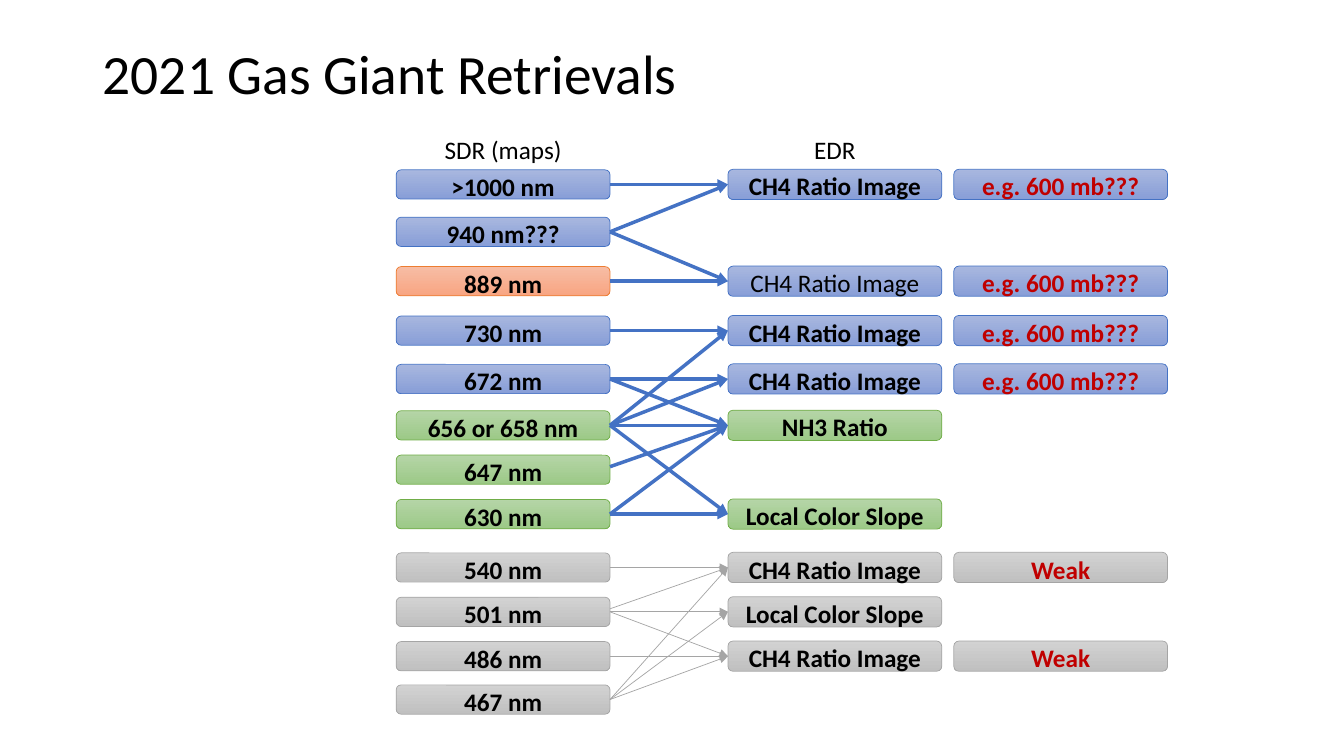
from dataclasses import dataclass
from lxml.etree import SubElement
from pptx import Presentation
from pptx.dml.color import RGBColor
from pptx.enum.shapes import MSO_CONNECTOR as LINE, MSO_SHAPE as SHAPE
from pptx.enum.text import MSO_ANCHOR as ANCHOR, PP_ALIGN as ALIGN
from pptx.oxml.ns import qn
from pptx.util import Inches, Pt

TITLE = "2021 Gas Giant Retrievals"
RATIO, SLOPE, GUESS, WEAK = "CH4 Ratio Image", "Local Color Slope", "e.g. 600 mb???", "Weak"

# Row centre, SDR map, its tone, EDR product, remark, tone of product and remark
BANDS = [
    (1.83, ">1000 nm", "blue", RATIO, GUESS, "blue"),
    (2.30, "940 nm???", "blue", None, None, None),
    (2.79, "889 nm", "orange", RATIO, GUESS, "blue"),
    (3.28, "730 nm", "blue", RATIO, GUESS, "blue"),
    (3.76, "672 nm", "blue", RATIO, GUESS, "blue"),
    (4.22, "656 or 658 nm", "green", "NH3 Ratio", None, "green"),
    (4.66, "647 nm", "green", None, None, None),
    (5.10, "630 nm", "green", SLOPE, None, "green"),
    (5.63, "540 nm", "gray", RATIO, WEAK, "gray"),
    (6.07, "501 nm", "gray", SLOPE, None, "gray"),
    (6.51, "486 nm", "gray", RATIO, WEAK, "gray"),
    (6.94, "467 nm", "gray", None, None, None),
]
# Map row -> product rows that it feeds
LINKS = {0: [0], 1: [0, 2], 2: [2], 3: [3], 4: [4, 5], 5: [3, 4, 5, 7], 6: [5],
         7: [5, 7], 8: [8], 9: [8, 9, 10], 10: [10], 11: [8, 9, 10]}
RISES = {(6, 5): 0.03, (9, 8): 0.03}  # arrows that leave above the row centre
PLAIN_ROWS = {2}  # products not in bold


@dataclass(frozen=True)
class Theme:
    """Colours, type sizes and line widths."""
    font: str = "Calibri"
    ink: str = "000000"
    remark: str = "C00000"
    title: float = 39.6
    body: float = 18
    edge: float = 0.5
    strong: float = 2.5


T = Theme()
TONES = {  # gradient top, gradient bottom, outline
    "blue": ("A8B7DF", "889ED7", "4472C4"),
    "orange": ("F7BDA5", "F8A582", "ED7D31"),
    "green": ("B5D5A7", "9CC987", "70AD47"),
    "gray": ("D2D2D2", "C0C0C0", "A5A5A5"),
}
MAP_X, EDR_X, NOTE_X = 3.93, 7.22, 9.46
BOX_W, MAP_H, EDR_H = 2.12, 0.29, 0.3


def rgb(code):
    """Turn a hex code into a colour."""
    return RGBColor.from_string(code)


def write(sp, text, size=T.body, color=T.ink, bold=False, align=ALIGN.CENTER,
          anchor=ANCHOR.TOP, inset=None, spacing=None):
    """Put one formatted paragraph in a shape."""
    tf = sp.text_frame
    tf.word_wrap, tf.vertical_anchor = True, anchor
    if inset is not None:
        tf.margin_left = tf.margin_right = tf.margin_top = tf.margin_bottom = Inches(inset)
    p = tf.paragraphs[0]
    p.alignment, p.line_spacing = align, spacing
    r = p.add_run()
    r.text = text
    r.font.name, r.font.size, r.font.bold = T.font, Pt(size), bold
    r.font.color.rgb = rgb(color)


def add_box(s, x, centre, h, text, tone, **fmt):
    """Draw a rounded gradient box centred on a row."""
    sp = s.shapes.add_shape(SHAPE.ROUNDED_RECTANGLE, Inches(x), Inches(centre - h / 2),
                            Inches(BOX_W), Inches(h))
    sp.shadow.inherit = False
    top, bottom, edge = TONES[tone]
    sp.fill.gradient()
    sp.fill.gradient_angle = 270
    for stop, code in zip(sp.fill.gradient_stops, (top, bottom)):
        stop.color.rgb = rgb(code)
    sp.line.color.rgb, sp.line.width = rgb(edge), Pt(T.edge)
    write(sp, text, inset=0, **fmt)


def add_arrow(s, y1, y2, tone):
    """Draw an arrow from the map column to the product column."""
    c = s.shapes.add_connector(LINE.STRAIGHT, Inches(MAP_X + BOX_W), Inches(y1),
                               Inches(EDR_X), Inches(y2))
    c.line.color.rgb = rgb(TONES[tone][2])
    c.line.width = Pt(T.edge if tone == "gray" else T.strong)
    SubElement(c.line._get_or_add_ln(), qn("a:tailEnd"), type="triangle")
    SubElement(c._element.spPr, qn("a:effectLst"))


def add_heading(s, x, y, w, text):
    """Write a column heading."""
    write(s.shapes.add_textbox(Inches(x), Inches(y), Inches(w), Inches(0.4)), text)


prs = Presentation()
prs.slide_width, prs.slide_height = Inches(13.33), Inches(7.5)
s = prs.slides.add_slide(prs.slide_layouts[5])
title = s.shapes.title
title.left, title.top, title.width, title.height = map(Inches, (0.92, 0.4, 6.6, 0.71))
write(title, TITLE, size=T.title, align=ALIGN.LEFT, anchor=ANCHOR.MIDDLE, spacing=0.9)
add_heading(s, MAP_X, 1.28, BOX_W, "SDR (maps)")
add_heading(s, EDR_X + 0.51, 1.28, 1.1, "EDR")

for row, (y, band, band_tone, product, remark, tone) in enumerate(BANDS):
    add_box(s, MAP_X, y, MAP_H, band, band_tone, bold=True)
    if product:
        add_box(s, EDR_X, y, EDR_H, product, tone, bold=row not in PLAIN_ROWS)
    if remark:
        add_box(s, NOTE_X, y, EDR_H, remark, tone, bold=True, color=T.remark)

for start, ends in LINKS.items():
    for end in ends:
        y1 = BANDS[start][0] - RISES.get((start, end), 0)
        add_arrow(s, y1, BANDS[end][0], "gray" if BANDS[start][2] == "gray" else "blue")

prs.save("out.pptx")
